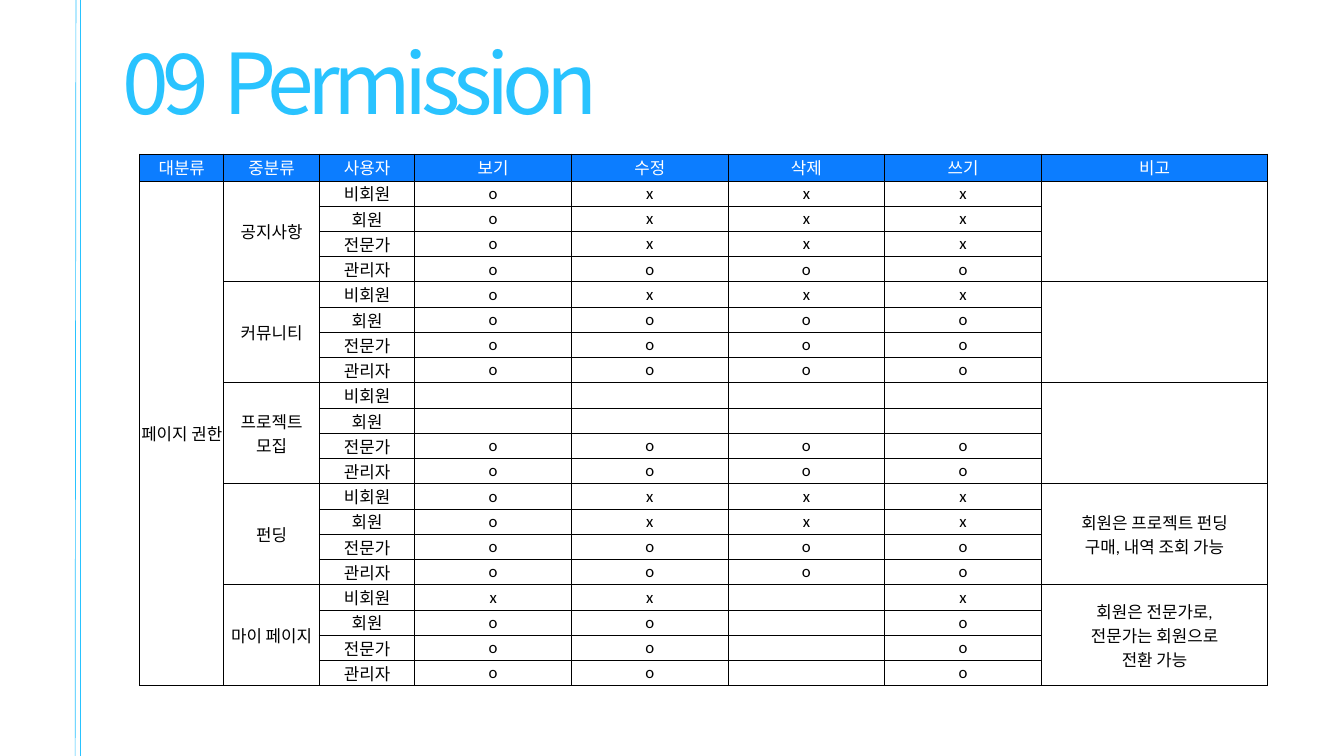
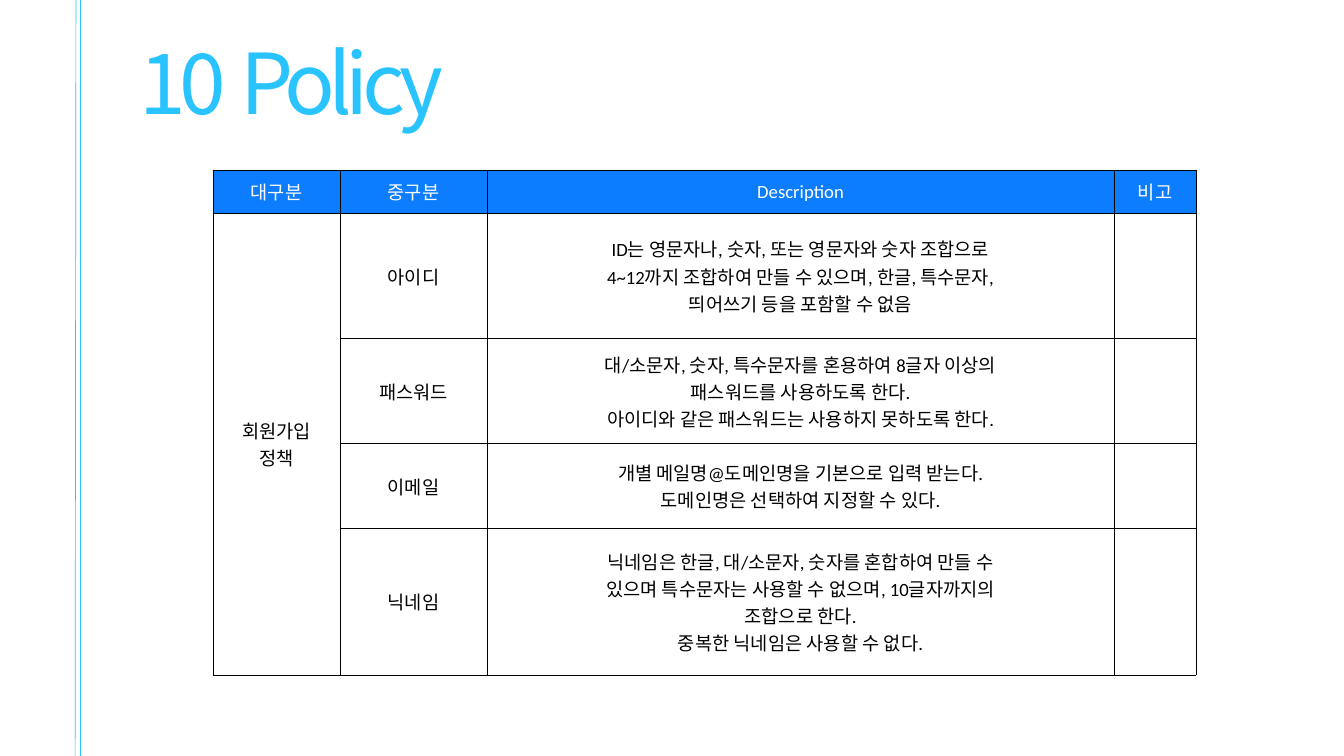
from pptx import Presentation, util as u
from pptx.dml.color import RGBColor
from pptx.enum import shapes, text
from pptx.oxml import parse_xml
from pptx.oxml.ns import nsdecls, qn

COLORS = {"accent": "29C3FF", "header": "0C7DFF", "white": "FFFFFF", "black": "000000"}
BODY_FONT, KOREAN_FONT = "Calibri", "Noto Sans CJK KR"
SLIDE_W, SLIDE_H = 50.8, 28.58
USERS = ("비회원", "회원", "전문가", "관리자")

# Each section: name, remark, and per user the marks for view, edit, delete, write.
PERMISSIONS = [
    ("공지사항", "", ("oxxx", "oxxx", "oxxx", "oooo")),
    ("커뮤니티", "", ("oxxx", "oooo", "oooo", "oooo")),
    ("프로젝트\v모집", "", ("    ", "    ", "oooo", "oooo")),
    ("펀딩", "회원은 프로젝트 펀딩\v구매, 내역 조회 가능", ("oxxx", "oxxx", "oooo", "oooo")),
    ("마이 페이지", "회원은 전문가로,\v전문가는 회원으로\v전환 가능",
     ("xx x", "oo o", "oo o", "oo o")),
]

POLICIES = [
    ("아이디", "ID는 영문자나, 숫자, 또는 영문자와 숫자 조합으로\v"
     "4~12까지 조합하여 만들 수 있으며, 한글, 특수문자,\v띄어쓰기 등을 포함할 수 없음"),
    ("패스워드", "대/소문자, 숫자, 특수문자를 혼용하여 8글자 이상의\v"
     "패스워드를 사용하도록 한다.\v아이디와 같은 패스워드는 사용하지 못하도록 한다."),
    ("이메일", "개별 메일명@도메인명을 기본으로 입력 받는다.\v도메인명은 선택하여 지정할 수 있다."),
    ("닉네임", "닉네임은 한글, 대/소문자, 숫자를 혼합하여 만들 수\v"
     "있으며 특수문자는 사용할 수 없으며, 10글자까지의\v조합으로 한다.\v"
     "중복한 닉네임은 사용할 수 없다."),
]


def rgb(name):
    return RGBColor.from_string(COLORS[name])


def style_runs(p, font, size, color):
    for r in p.runs:
        r.font.name, r.font.size = font, u.Pt(size)
        r.font.color.rgb = rgb(color)
        r.font._element.append(
            parse_xml(f'<a:ea {nsdecls("a")} typeface="{KOREAN_FONT}"/>'))


def add_side_lines(slide):
    for x_bottom, x_top in ((2.84, 2.87), (3.02, 3.02)):
        line = slide.shapes.add_connector(
            shapes.MSO_CONNECTOR.STRAIGHT,
            u.Cm(x_bottom), u.Cm(SLIDE_H), u.Cm(x_top), u.Cm(0))
        line.line.color.rgb = rgb("accent")
        line.line.width = u.Pt(0.75)
        line._element.spPr.append(parse_xml(f'<a:effectLst {nsdecls("a")}/>'))


def add_title(slide, left, number, name):
    sp = slide.shapes.add_textbox(u.Cm(left), u.Cm(0.53), u.Cm(32.44), u.Cm(4.14))
    tf = sp.text_frame
    tf.word_wrap = True
    tf.auto_size = text.MSO_AUTO_SIZE.SHAPE_TO_FIT_TEXT
    tf.margin_left = tf.margin_right = tf.margin_top = tf.margin_bottom = 0
    p = tf.paragraphs[0]
    p.text = f"{number}\t{name}"
    p.line_spacing = u.Pt(126)
    style_runs(p, KOREAN_FONT, 90, "accent")
    p.runs[0].font._element.set("spc", "-720")


def add_borders(cell):
    tcPr = cell._tc.get_or_add_tcPr()
    for side in ("lnL", "lnR", "lnT", "lnB"):
        tcPr.append(parse_xml(
            f'<a:{side} {nsdecls("a")} w="12700"><a:solidFill>'
            f'<a:srgbClr val="{COLORS["black"]}"/></a:solidFill></a:{side}>'))


def fill_cell(cell, value, size, is_header):
    add_borders(cell)
    cell.margin_left = cell.margin_right = u.Cm(0.02)
    cell.margin_top = cell.margin_bottom = 0
    cell.vertical_anchor = text.MSO_ANCHOR.MIDDLE
    if is_header:
        cell.fill.solid()
        cell.fill.fore_color.rgb = rgb("header")
    else:
        cell.fill.background()
    p = cell.text_frame.paragraphs[0]
    p.alignment = text.PP_ALIGN.CENTER
    if value:
        p.text = value
        style_runs(p, BODY_FONT, size, "white" if is_header else "black")


def add_grid(slide, left, top, widths, heights, rows, size):
    """Draw rows as a table; None continues the cell above it."""
    table = slide.shapes.add_table(
        len(rows), len(widths), u.Cm(left), u.Cm(top),
        u.Cm(sum(widths)), u.Cm(sum(heights))).table
    table.first_row = table.horz_banding = False
    for column, width in zip(table.columns, widths):
        column.width = u.Cm(width)
    for row, height in zip(table.rows, heights):
        row.height = u.Cm(height)
    for i, row in enumerate(rows):
        for j, value in enumerate(row):
            fill_cell(table.cell(i, j), value, size, i == 0)
    for j in range(len(widths)):
        starts = [i for i, row in enumerate(rows) if row[j] is not None]
        for start, end in zip(starts, starts[1:] + [len(rows)]):
            if end - start > 1:
                table.cell(start, j).merge(table.cell(end - 1, j))


def add_page(prs, title_left, number, name):
    slide = prs.slides.add_slide(prs.slide_layouts[6])
    add_side_lines(slide)
    add_title(slide, title_left, number, name)
    return slide


def add_permission_slide(prs):
    slide = add_page(prs, 4.65, "09", "Permission")
    rows = [("대분류", "중분류", "사용자", "보기", "수정", "삭제", "쓰기", "비고")]
    for section, remark, marks in PERMISSIONS:
        for k, (user, flags) in enumerate(zip(USERS, marks)):
            rows.append(("페이지 권한" if len(rows) == 1 else None,
                         None if k else section, user,
                         *(flag.strip() for flag in flags),
                         None if k else remark))
    widths = [3.18, 3.61, 3.61] + [5.92] * 4 + [8.56]
    heights = [1.02] + [19.08 / 20] * 20
    add_grid(slide, 5.28, 5.82, widths, heights, rows, 18)


def add_policy_slide(prs):
    slide = add_page(prs, 5.28, "10", "Policy")
    rows = [("대구분", "중구분", "Description", "비고")]
    for k, (item, rule) in enumerate(POLICIES):
        rows.append((None if k else "회원가입\v정책", item, rule, ""))
    add_grid(slide, 8.05, 6.45, [4.8, 5.56, 23.7, 3.1],
             [1.6, 4.76, 3.97, 3.18, 5.56], rows, 20)


def main():
    prs = Presentation()
    prs.slide_width, prs.slide_height = u.Cm(SLIDE_W), u.Cm(SLIDE_H)
    add_permission_slide(prs)
    add_policy_slide(prs)
    prs.save("out.pptx")


if __name__ == "__main__":
    main()
